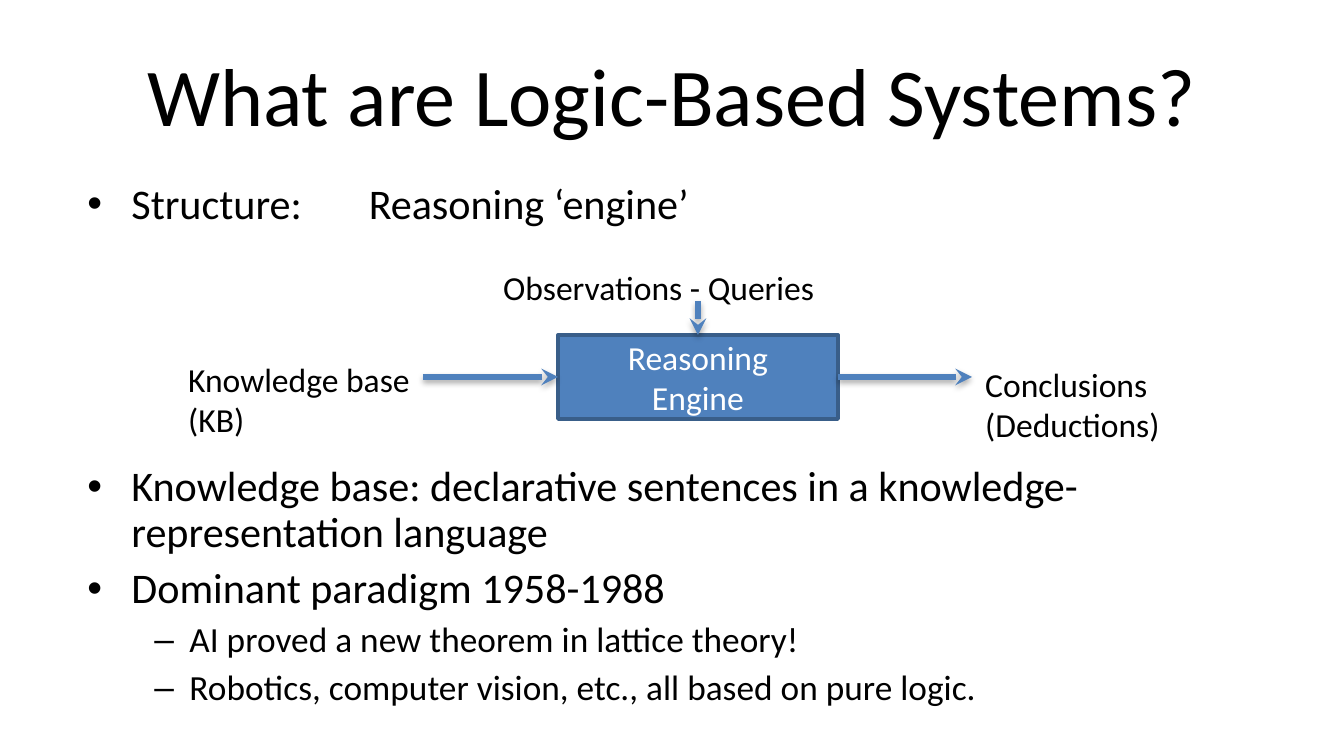
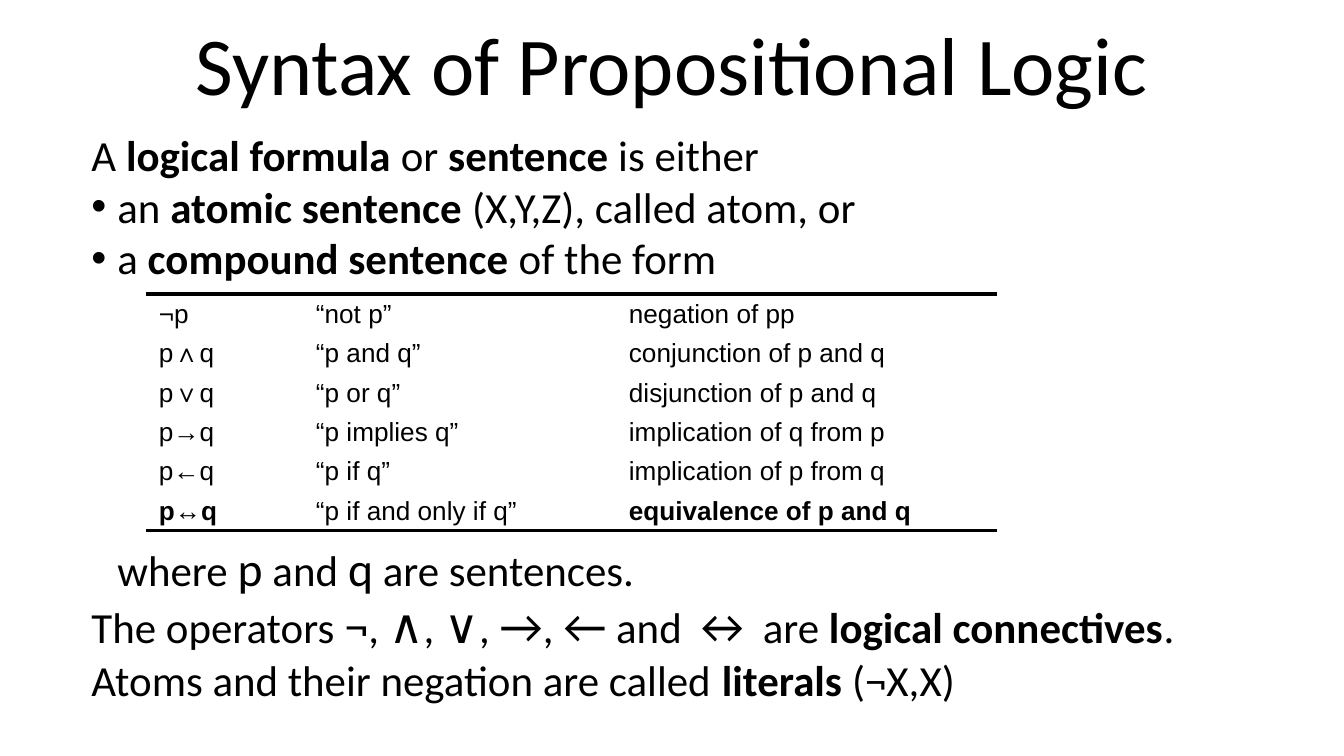
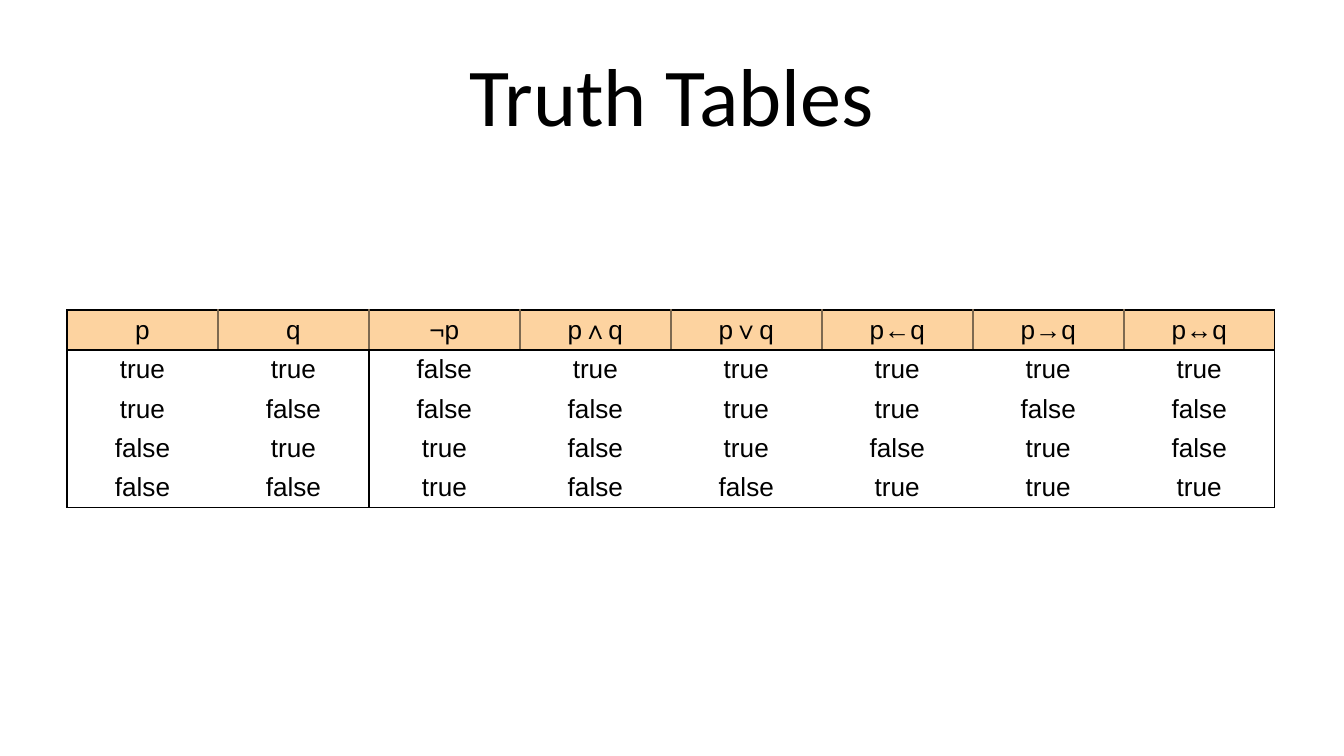
import dataclasses
import itertools

import lxml.etree
import pptx
import pptx.dml.color
import pptx.enum.shapes
import pptx.enum.text
import pptx.oxml.ns
import pptx.util

SCALE = 914400 / 134.4
ALIGN = pptx.enum.text.PP_ALIGN
ANCHOR = pptx.enum.text.MSO_ANCHOR


@dataclasses.dataclass(frozen=True)
class Theme:
    """Colours, fonts and type sizes of the deck."""
    ink: str = "000000"
    paper: str = "FFFFFF"
    blue: str = "4F81BD"
    navy: str = "395E89"
    peach: str = "FDD3A0"
    seam: str = "7D6950"
    font: str = "Calibri"
    grid: str = "Arial"
    title: float = 44
    list: float = 22.6
    sub: float = 18.9
    prose: float = 23
    sign: float = 25.5
    label: float = 18
    cell: float = 14


THEME = Theme()


@dataclasses.dataclass(frozen=True)
class Item:
    """One list paragraph; runs are split by | and led by * bold, ^ sign or ~ wide."""
    text: str
    size: float
    left: int = 0
    hang: int = 0
    mark: str = ""
    before: float = 0
    lines: float = 1.0
    level: int = 0


def px(size):
    """Turn px into EMU."""
    return pptx.util.Emu(round(size * SCALE))


def tone(code):
    """Turn a hex code into a colour."""
    return pptx.dml.color.RGBColor.from_string(code)


def node(parent, tag, **attrs):
    """Append an XML element and return it."""
    name = pptx.oxml.ns.qn(tag)
    return lxml.etree.SubElement(parent, name, {k: str(v) for k, v in attrs.items()})


def ink(parent, code):
    """Append a solid fill and return its colour element."""
    return node(node(parent, "a:solidFill"), "a:srgbClr", val=code)


def style(font, size, color=THEME.ink, face=THEME.font, bold=False):
    """Format one font."""
    font.size = pptx.util.Pt(size)
    font.name = face
    font.bold = bold
    font.color.rgb = tone(color)


def place(shape, left, top, width, height):
    """Move and size a shape."""
    shape.left, shape.top = px(left), px(top)
    shape.width, shape.height = px(width), px(height)


def write(frame, text, size, color=THEME.ink, align=ALIGN.LEFT):
    """Set plain text in a frame and format it."""
    frame.text = text
    frame.word_wrap = True
    frame.auto_size = pptx.enum.text.MSO_AUTO_SIZE.NONE
    for para in frame.paragraphs:
        para.alignment = align
        for run in para.runs:
            style(run.font, size, color)


def start(deck, layout, text, top):
    """Add a slide with its title."""
    slide = deck.slides.add_slide(deck.slide_layouts[layout])
    title = slide.shapes.title
    place(title, 67, top, 1210, 126)
    write(title.text_frame, text, THEME.title, align=ALIGN.CENTER)
    title.text_frame.vertical_anchor = ANCHOR.MIDDLE
    return slide


def rich(para, item):
    """Add the marked runs of an item."""
    for part in item.text.split("|"):
        lead = part[0] if part[0] in "*^~" else ""
        run = para.add_run()
        run.text = part[len(lead):]
        size = THEME.sign if lead == "^" else item.size
        style(run.font, size, bold=lead == "*")
        if lead == "~":
            run._r.get_or_add_rPr().set("spc", "3060")


def point(para, item):
    """Format one list paragraph with its indent and bullet."""
    para.level = item.level
    para.line_spacing = item.lines
    para.space_before = pptx.util.Pt(item.before)
    para.space_after = pptx.util.Pt(0)
    props = para._p.get_or_add_pPr()
    props.set("marL", str(px(item.left)))
    props.set("indent", str(px(-item.hang)))
    if item.mark:
        node(node(props, "a:buClr"), "a:srgbClr", val=THEME.ink)
        node(props, "a:buFont", typeface=THEME.grid)
        node(props, "a:buChar", char=item.mark)
    else:
        node(props, "a:buNone")
    rich(para, item)


def body(slide, box, items):
    """Fill the body placeholder with a list."""
    holder = slide.placeholders[1]
    place(holder, *box)
    frame = holder.text_frame
    frame.word_wrap = True
    frame.auto_size = pptx.enum.text.MSO_AUTO_SIZE.NONE
    for index, item in enumerate(items):
        point(frame.add_paragraph() if index else frame.paragraphs[0], item)


def label(slide, box, text):
    """Add a text label."""
    note = slide.shapes.add_textbox(*map(px, box))
    write(note.text_frame, text, THEME.label)


def block(slide, box, text):
    """Add a filled box with centred text."""
    kind = pptx.enum.shapes.MSO_SHAPE.RECTANGLE
    shape = slide.shapes.add_shape(kind, *map(px, box))
    shape.shadow.inherit = False
    shape.fill.solid()
    shape.fill.fore_color.rgb = tone(THEME.blue)
    shape.line.color.rgb = tone(THEME.navy)
    shape.line.width = pptx.util.Pt(2)
    write(shape.text_frame, text, THEME.label, THEME.paper, ALIGN.CENTER)
    shape.text_frame.vertical_anchor = ANCHOR.MIDDLE


def arrow(slide, *ends):
    """Add an arrow with a soft shadow."""
    kind = pptx.enum.shapes.MSO_CONNECTOR.STRAIGHT
    line = slide.shapes.add_connector(kind, *map(px, ends))
    line.line.color.rgb = tone(THEME.blue)
    line.line.width = pptx.util.Pt(3)
    props = line.element.spPr
    node(props.find(pptx.oxml.ns.qn("a:ln")), "a:tailEnd", type="stealth")
    shade = node(node(props, "a:effectLst"), "a:outerShdw", blurRad=40000,
                 dist=23000, dir=5400000, rotWithShape=0)
    node(ink_free(shade), "a:alpha", val=35000)


def ink_free(parent):
    """Append the bare shadow colour."""
    return node(parent, "a:srgbClr", val=THEME.ink)


def edge(cell, sides):
    """Draw the given sides of a cell and clear the others."""
    props = cell._tc.get_or_add_tcPr()
    for side in "LRTB":
        color, width = sides.get(side, (None, 0))
        line = node(props, "a:ln" + side, w=pptx.util.Pt(width))
        if color:
            ink(line, color)
        else:
            node(line, "a:noFill")


def grid(slide, left, top, widths, rows, look, align=ALIGN.LEFT):
    """Add a table; look gives the fill, bold and sides of each cell."""
    frame = slide.shapes.add_table(len(rows), len(widths), px(left), px(top),
                                   px(sum(widths)), px(40 * len(rows)))
    table = frame.table
    table.first_row = table.horz_banding = False
    for col, width in zip(table.columns, widths):
        col.width = px(width)
    for r, row in enumerate(rows):
        table.rows[r].height = px(36 if r else 40)
        for c, text in enumerate(row):
            cell = table.cell(r, c)
            color, bold, sides = look(r, c)
            cell.text = text
            cell.vertical_anchor = ANCHOR.MIDDLE
            cell.margin_left = cell.margin_right = px(13)
            cell.margin_top = cell.margin_bottom = px(5)
            edge(cell, sides)
            cell.fill.solid()
            cell.fill.fore_color.rgb = tone(color)
            para = cell.text_frame.paragraphs[0]
            para.alignment = align
            style(para.runs[0].font, THEME.cell, face=THEME.grid, bold=bold)


def rules(r, c):
    """Style the formula table: lines above and below, last row strong."""
    thick = (THEME.ink, 2)
    sides = {0: {"T": thick}, 5: {"B": thick}}.get(r, {})
    return THEME.paper, r == 5 and c != 1, sides


def frames(r, c):
    """Style the truth table: tinted head, outer frame, inputs set apart."""
    thin, seam = (THEME.ink, 0.75), (THEME.seam, 1)
    if r == 0:
        return THEME.peach, False, {"L": seam if c else thin, "T": thin,
                                    "R": seam if c < 7 else thin, "B": thin}
    tests = {"L": c in (0, 2), "R": c in (1, 7), "T": r == 1, "B": r == 4}
    return THEME.paper, False, {side: thin for side, on in tests.items() if on}


def systems(deck):
    """Build the slide on logic-based systems."""
    slide = start(deck, 1, "What are Logic-Based Systems?", 31)
    dot = dict(size=THEME.list, left=51, hang=44, mark="•", lines=0.9)
    dash = dict(size=THEME.sub, left=109, hang=35, mark="–", lines=0.9,
                before=5.2, level=1)
    body(slide, (67, 176, 1254, 546), [
        Item("Structure:|~ |Reasoning ‘engine’", **dot),
        Item("Knowledge base: declarative sentences in a "
             "knowledge-representation language", before=127, **dot),
        Item("Dominant paradigm 1958-1988", before=5.9, **dot),
        Item("AI proved a new theorem in lattice theory!", **dash),
        Item("Robotics, computer vision, etc., all based on pure logic.", **dash),
    ])
    block(slide, (558, 335, 280, 84), "Reasoning\vEngine")
    arrow(slide, 423, 377, 558, 377)
    arrow(slide, 838, 377, 972, 377)
    arrow(slide, 698, 301, 698, 335)
    label(slide, (175, 352, 259, 71), "Knowledge base \v(KB)")
    label(slide, (490, 260, 342, 41), "Observations - Queries")
    label(slide, (972, 357, 204, 71), "Conclusions\v(Deductions)")


def syntax(deck):
    """Build the slide on syntax."""
    slide = start(deck, 1, "Syntax of Propositional Logic", 0)
    grid(slide, 146, 294, (157, 313, 381), [
        ("¬p", "“not p”", "negation of pp"),
        ("p∧q", "“p and q”", "conjunction of p and q"),
        ("p∨q", "“p or q”", "disjunction of p and q"),
        ("p→q", "“p implies q”", "implication of q from p"),
        ("p←q", "“p if q”", "implication of p from q"),
        ("p↔q", "“p if and only if q”", "equivalence of p and q"),
    ], rules)
    size = THEME.prose
    dot = dict(size=size, left=26, hang=26, mark="•")
    body(slide, (78, 122, 1210, 607), [
        Item("A |*logical formula |or|* sentence| is either", size),
        Item("an |*atomic sentence |(X,Y,Z), called atom, or", **dot),
        Item("a |*compound sentence| of the form", **dot),
        Item("where |^p| and |^q| are sentences.", size, left=26, before=137),
        Item("The operators |^¬|, |^∧|, |^∨|, |^→|, |^←| and |^↔| are "
             "|*logical connectives|.", size),
        Item("Atoms and their negation are called |*literals| (¬X,X)", size),
    ])


def truth(deck):
    """Build the slide with the truth table."""
    slide = start(deck, 5, "Truth Tables", 31)
    rows = [("p", "q", "¬p", "p∧q", "p∨q", "p←q", "p→q", "p↔q")]
    for p, q in itertools.product((True, False), repeat=2):
        facts = (p, q, not p, p and q, p or q, p or not q, not p or q, p == q)
        rows.append([str(fact).lower() for fact in facts])
    grid(slide, 67, 310, [151] * 8, rows, frames, ALIGN.CENTER)


def main():
    """Build and save the deck."""
    deck = pptx.Presentation()
    deck.slide_width, deck.slide_height = px(1344), px(756)
    systems(deck)
    syntax(deck)
    truth(deck)
    deck.save("out.pptx")


if __name__ == "__main__":
    main()
